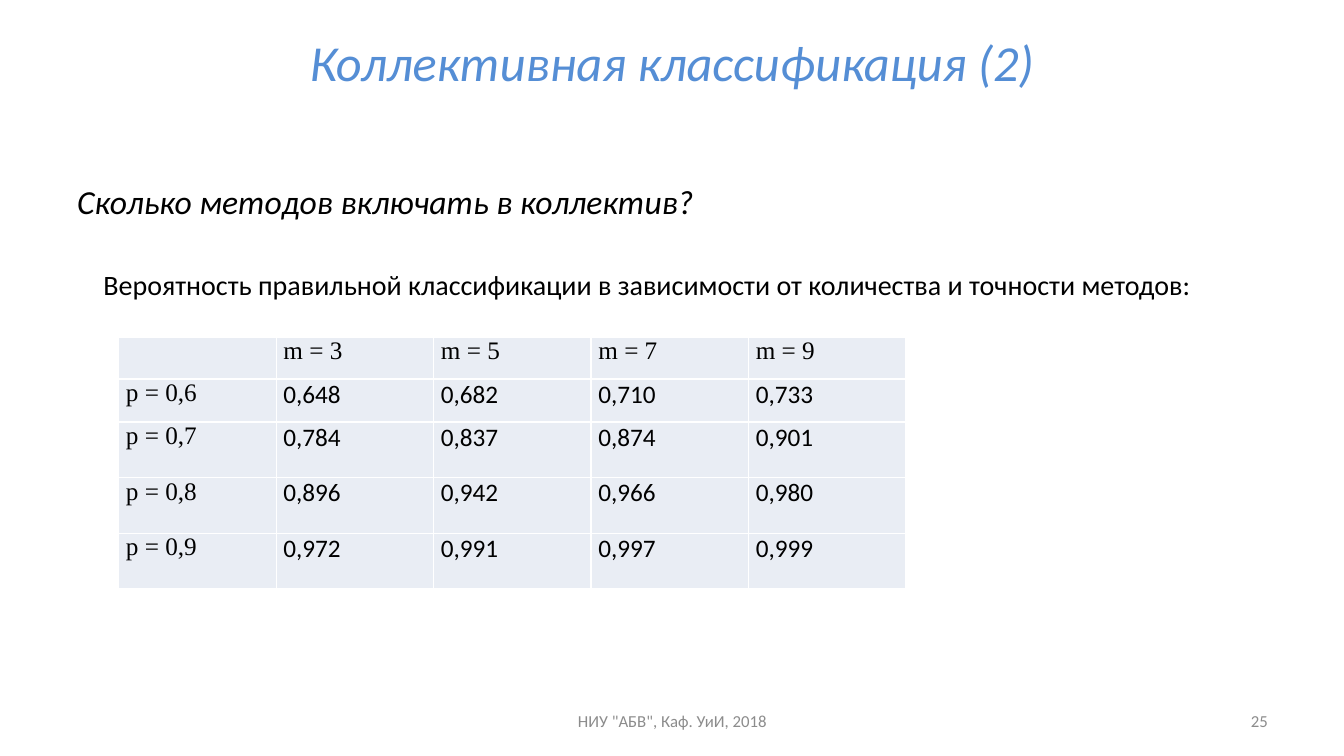
from dataclasses import dataclass

from lxml import etree
from pptx import Presentation
from pptx.dml.color import RGBColor
from pptx.enum.text import MSO_ANCHOR, PP_ALIGN
from pptx.oxml.ns import qn
from pptx.util import Emu, Pt

LEFT, CENTER, RIGHT = PP_ALIGN.LEFT, PP_ALIGN.CENTER, PP_ALIGN.RIGHT
TOP, MIDDLE = MSO_ANCHOR.TOP, MSO_ANCHOR.MIDDLE

EMU_PER_PX = 9525
SANS, SERIF = "Calibri", "Times New Roman"
BLACK, WHITE, GRAY = "000000", "FFFFFF", "8C8C8C"
TITLE_BLUE, CELL_FILL = "558ED5", "E9EDF4"


@dataclass(frozen=True)
class Label:
    text: str
    box: tuple[int, int, int, int]
    size: int
    color: str = BLACK
    italic: bool = False
    align: PP_ALIGN = LEFT
    anchor: MSO_ANCHOR = TOP
    space_before: int = 0


LABELS = [
    Label("Коллективная классификация (2)", (64, 29, 1152, 59), 36,
          TITLE_BLUE, True, CENTER, MIDDLE),
    Label("Сколько методов включать в коллектив?", (64, 168, 1152, 60), 24,
          italic=True, space_before=5),
    Label("Вероятность правильной классификации в зависимости "
          "от количества и точности методов:", (89, 250, 1063, 42), 20),
    Label('НИУ "АБВ", Каф. УиИ, 2018', (438, 667, 405, 38), 12,
          GRAY, align=CENTER, anchor=MIDDLE),
    Label("25", (918, 667, 299, 38), 12, GRAY, align=RIGHT, anchor=MIDDLE),
]

# Probability of a correct answer by method accuracy p and method count m
ACCURACY_ROWS = [
    ("", "m = 3", "m = 5", "m = 7", "m = 9"),
    ("p = 0,6", "0,648", "0,682", "0,710", "0,733"),
    ("p = 0,7", "0,784", "0,837", "0,874", "0,901"),
    ("p = 0,8", "0,896", "0,942", "0,966", "0,980"),
    ("p = 0,9", "0,972", "0,991", "0,997", "0,999"),
]
ROW_HEIGHTS = [40, 41, 53, 53, 53]
COLUMN_WIDTH = 150
TABLE_LEFT, TABLE_TOP = 113, 321


def px(length: int) -> Emu:
    return Emu(length * EMU_PER_PX)


def rgb(color: str) -> RGBColor:
    return RGBColor.from_string(color)


def add_run(paragraph, text: str, size: int, font: str, color: str,
            italic: bool = False) -> None:
    run = paragraph.add_run()
    run.text = text
    run.font.size = Pt(size)
    run.font.name = font
    run.font.italic = italic
    run.font.color.rgb = rgb(color)


def add_label(slide, label: Label) -> None:
    frame = slide.shapes.add_textbox(*map(px, label.box)).text_frame
    frame.word_wrap = True
    frame.vertical_anchor = label.anchor
    paragraph = frame.paragraphs[0]
    paragraph.alignment = label.align
    paragraph.space_before = Pt(label.space_before)
    add_run(paragraph, label.text, label.size, SANS, label.color, label.italic)


def add_borders(cell, color: str) -> None:
    properties = cell._tc.get_or_add_tcPr()
    for side in ("a:lnL", "a:lnR", "a:lnT", "a:lnB"):
        line = etree.SubElement(properties, qn(side), w=str(Pt(1)))
        fill = etree.SubElement(line, qn("a:solidFill"))
        etree.SubElement(fill, qn("a:srgbClr"), val=color)


def fill_cell(cell, text: str, font: str) -> None:
    add_borders(cell, WHITE)
    cell.fill.solid()
    cell.fill.fore_color.rgb = rgb(CELL_FILL)
    cell.margin_left = cell.margin_right = px(7)
    cell.margin_top = cell.margin_bottom = 0
    if text:
        add_run(cell.text_frame.paragraphs[0], text, 18, font, BLACK)


def add_accuracy_table(slide) -> None:
    column_count = len(ACCURACY_ROWS[0])
    table = slide.shapes.add_table(
        len(ACCURACY_ROWS), column_count, px(TABLE_LEFT), px(TABLE_TOP),
        px(COLUMN_WIDTH * column_count), px(sum(ROW_HEIGHTS))).table
    table.first_row = table.horz_banding = False
    for column in table.columns:
        column.width = px(COLUMN_WIDTH)
    for r, (values, height) in enumerate(zip(ACCURACY_ROWS, ROW_HEIGHTS)):
        table.rows[r].height = px(height)
        for c, value in enumerate(values):
            is_heading = r == 0 or c == 0
            fill_cell(table.cell(r, c), value, SERIF if is_heading else SANS)


def main() -> None:
    presentation = Presentation()
    presentation.slide_width, presentation.slide_height = px(1280), px(720)
    slide = presentation.slides.add_slide(presentation.slide_layouts[6])

    # Title, question, caption and footer
    for label in LABELS:
        add_label(slide, label)

    # Table of probabilities
    add_accuracy_table(slide)

    presentation.save("out.pptx")


if __name__ == "__main__":
    main()
